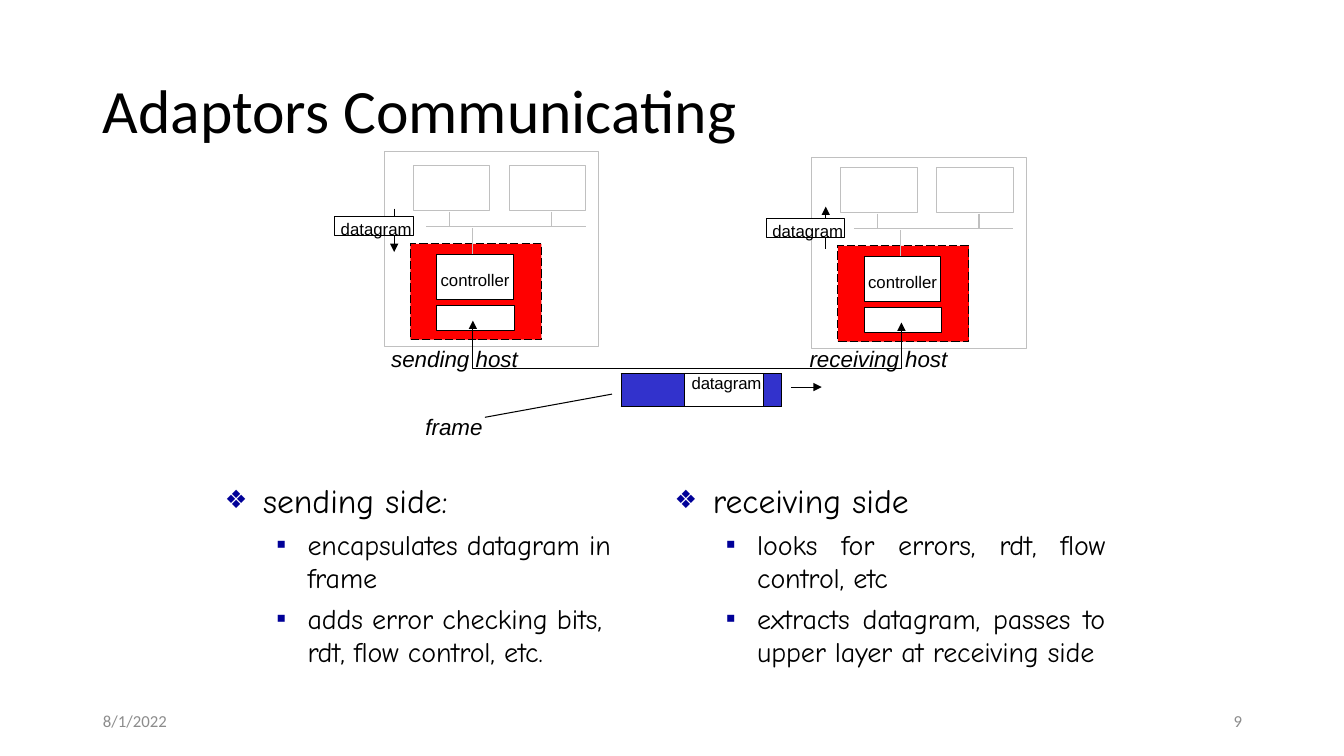
from dataclasses import dataclass

import pptx
import pptx.dml.color
import pptx.enum.dml
import pptx.enum.shapes
import pptx.enum.text
import pptx.oxml
import pptx.oxml.ns
import pptx.util

Inches = pptx.util.Inches
Pt = pptx.util.Pt
ALIGN = pptx.enum.text.PP_ALIGN
ANCHOR = pptx.enum.text.MSO_ANCHOR

INK = {"black": "000000", "white": "FFFFFF", "gray": "C0C0C0", "red": "FF0000",
       "blue": "3232CC", "navy": "000098", "foot": "8C8C8C"}
THIN = 0.75


@dataclass
class Box:
    x: float
    y: float
    w: float
    h: float
    line: str
    fill: str = ""
    dash: bool = False


@dataclass
class Wire:
    x1: float
    y1: float
    x2: float
    y2: float
    line: str = "gray"
    head: bool = False


@dataclass
class Label:
    text: str
    x: float
    y: float
    w: float
    h: float
    size: float = 12
    font: str = "Arial"
    ink: str = "black"
    slant: bool = False
    gap: int = 0  # letter spacing, hundredths of a point
    align: ALIGN = ALIGN.LEFT


@dataclass
class Host:
    x: float
    y: float
    top: float  # top edge of the outer box
    name: str
    name_x: float
    gram_x: float
    arrow: Wire


@dataclass
class Level:
    size: float
    left: float
    hang: float
    mark: str
    scale: int


# Parts of a host, measured from its corner
BOXES = [Box(0.26, 0.92, 1.3, 0.95, "black", "red", True),
         Box(0.52, 1.53, 0.77, 0.25, "black", "white"),
         Box(0.52, 1.02, 0.76, 0.45, "black", "white"),
         Box(0.29, 0.14, 0.76, 0.45, "gray", "white"),
         Box(1.24, 0.14, 0.76, 0.45, "gray", "white")]
WIRES = [Wire(0.42, 0.75, 2.0, 0.75), Wire(0.88, 0.76, 0.88, 1.02),
         Wire(0.65, 0.6, 0.65, 0.75), Wire(1.66, 0.6, 1.66, 0.75)]
HOSTS = [Host(3.81, 1.5, 1.5, "sending host", 3.88, 3.32,
              Wire(3.91, 2.07, 3.91, 2.5, "black", True)),
         Host(8.05, 1.52, 1.56, "receiving host", 8.03, 7.6,
              Wire(8.19, 2.47, 8.19, 2.05, "black", True))]

LEVELS = [Level(24, 0.39, -0.38, "❖", 75), Level(20, 0.83, -0.31, "▪", 100)]
LISTS = [(1, 2.22, 4.1, ALIGN.LEFT,
          ["sending side:", "encapsulates datagram in frame",
           "adds error checking bits, rdt, flow control, etc."]),
         (2, 6.68, 4.28, ALIGN.JUSTIFY,
          ["receiving side", "looks for errors, rdt, flow control, etc",
           "extracts datagram, passes to upper layer at receiving side"])]


def tint(name: str) -> pptx.dml.color.RGBColor:
    return pptx.dml.color.RGBColor.from_string(INK[name])


def node(parent, tag: str, **attrs: str):
    child = pptx.oxml.parse_xml(f"<a:{tag} {pptx.oxml.ns.nsdecls('a')}/>")
    for key, value in attrs.items():
        child.set(key, value)
    parent.append(child)
    return child


def place(shape, x: float, y: float, w: float, h: float) -> None:
    shape.left, shape.top = Inches(x), Inches(y)
    shape.width, shape.height = Inches(w), Inches(h)


def pad(frame) -> None:
    frame.margin_left = frame.margin_right = 0
    frame.margin_top = frame.margin_bottom = 0


def write(para, text: str, size: float, font: str, ink: str = "black",
          slant: bool = False, gap: int = 0) -> None:
    run = para.add_run()
    run.text = text
    run.font.size, run.font.name, run.font.italic = Pt(size), font, slant
    run.font.color.rgb = tint(ink)
    if gap:
        run.font._element.set("spc", str(gap))


def draw_box(slide, box: Box, x: float = 0, y: float = 0) -> None:
    shape = slide.shapes.add_shape(pptx.enum.shapes.MSO_SHAPE.RECTANGLE,
                                   Inches(x + box.x), Inches(y + box.y),
                                   Inches(box.w), Inches(box.h))
    shape.shadow.inherit = False
    if box.fill:
        shape.fill.solid()
        shape.fill.fore_color.rgb = tint(box.fill)
    else:
        shape.fill.background()
    shape.line.color.rgb, shape.line.width = tint(box.line), Pt(THIN)
    if box.dash:
        shape.line.dash_style = pptx.enum.dml.MSO_LINE.LONG_DASH


def draw_wire(slide, wire: Wire, x: float = 0, y: float = 0) -> None:
    link = slide.shapes.add_connector(pptx.enum.shapes.MSO_CONNECTOR.STRAIGHT,
                                      Inches(x + wire.x1), Inches(y + wire.y1),
                                      Inches(x + wire.x2), Inches(y + wire.y2))
    link.line.color.rgb, link.line.width = tint(wire.line), Pt(THIN)
    if wire.head:
        node(link.line._get_or_add_ln(), "tailEnd", type="triangle")
    node(link._element.spPr, "effectLst")


def draw_label(slide, label: Label) -> None:
    shape = slide.shapes.add_textbox(Inches(label.x), Inches(label.y),
                                     Inches(label.w), Inches(label.h))
    frame = shape.text_frame
    pad(frame)
    frame.word_wrap = True
    frame.vertical_anchor = ANCHOR.MIDDLE
    para = frame.paragraphs[0]
    para.alignment = label.align
    write(para, label.text, label.size, label.font, label.ink, label.slant, label.gap)


def draw_host(slide, host: Host) -> None:
    draw_box(slide, Box(host.x, host.top, 2.13, host.y + 1.94 - host.top, "gray"))
    for box in BOXES:
        draw_box(slide, box, host.x, host.y)
    for wire in WIRES:
        draw_wire(slide, wire, host.x, host.y)
    draw_wire(slide, host.arrow)
    draw_box(slide, Box(host.gram_x, host.y + 0.65, 0.78, 0.19, "black", "white"))
    draw_label(slide, Label("datagram", host.gram_x + 0.06, host.y + 0.67, 0.9, 0.19))
    draw_label(slide, Label("controller", host.x + 0.56, host.y + 1.18, 0.9, 0.19))
    draw_label(slide, Label(host.name, host.name_x, 3.42, 1.6, 0.27, 16, slant=True))


def draw_link(slide) -> None:
    form = slide.shapes.build_freeform(Inches(4.69), Inches(3.18))
    form.add_line_segments([(Inches(x), Inches(y)) for x, y in
                            [(4.69, 3.66), (8.94, 3.66), (8.94, 3.2)]], close=False)
    link = form.convert_to_shape()
    link.shadow.inherit = False
    link.fill.background()
    link.line.color.rgb, link.line.width = tint("black"), Pt(THIN)
    for tag in ("headEnd", "tailEnd"):
        node(link.line._get_or_add_ln(), tag, type="triangle")


def draw_frame(slide) -> None:
    widths = [0.63, 0.78, 0.18]
    table = slide.shapes.add_table(1, 3, Inches(6.16), Inches(3.71),
                                   Inches(sum(widths)), Inches(0.32)).table
    table.first_row = table.horz_banding = False
    table.rows[0].height = Inches(0.32)
    for i, (width, ink) in enumerate(zip(widths, ["blue", "white", "blue"])):
        table.columns[i].width = Inches(width)
        cell = table.cell(0, i)
        pad(cell)
        props = cell._tc.get_or_add_tcPr()
        for side in ("lnL", "lnR", "lnT", "lnB"):
            edge = node(props, side, w=str(Pt(THIN)))
            node(node(edge, "solidFill"), "srgbClr", val=INK["black"])
        cell.fill.solid()
        cell.fill.fore_color.rgb = tint(ink)
    cell = table.cell(0, 1)
    cell.margin_left = Inches(0.07)
    write(cell.text_frame.paragraphs[0], "datagram", 12, "Arial", gap=-10)


def draw_list(slide, idx: int, x: float, w: float, align: ALIGN, lines: list[str]) -> None:
    body = slide.placeholders[idx]
    place(body, x, 4.76, w, 2.0)
    frame = body.text_frame
    pad(frame)
    frame.auto_size = pptx.enum.text.MSO_AUTO_SIZE.NONE
    for i, line in enumerate(lines):
        para = frame.add_paragraph() if i else frame.paragraphs[0]
        para.level = min(i, 1)
        level = LEVELS[para.level]
        para.alignment = align if i else ALIGN.LEFT
        para.space_before = Pt(5 if i else 0)
        props = para._p.get_or_add_pPr()
        props.set("marL", str(Inches(level.left)))
        props.set("indent", str(Inches(level.hang)))
        node(node(props, "buClr"), "srgbClr", val=INK["navy"])
        node(props, "buSzPct", val=str(level.scale * 1000))
        node(props, "buChar", char=level.mark)
        write(para, line, level.size, "Comic Neue", gap=-12 if i else 0)


def main() -> None:
    deck = pptx.Presentation()
    deck.slide_width, deck.slide_height = Inches(13.33), Inches(7.5)
    slide = deck.slides.add_slide(deck.slide_layouts[3])

    # Title
    title = slide.shapes.title
    place(title, 0.92, 0.4, 11.5, 1.45)
    title.text_frame.vertical_anchor = ANCHOR.MIDDLE
    para = title.text_frame.paragraphs[0]
    para.alignment, para.line_spacing = ALIGN.LEFT, 0.9
    write(para, "Adaptors Communicating", 44, "Calibri")

    # Hosts and the link between them
    for host in HOSTS:
        draw_host(slide, host)
    draw_link(slide)

    # Frame on the link
    draw_frame(slide)
    draw_wire(slide, Wire(7.85, 3.84, 8.15, 3.84, "black", True))
    draw_wire(slide, Wire(4.81, 4.14, 6.07, 3.91, "black"))
    draw_label(slide, Label("frame", 4.22, 4.1, 0.8, 0.27, 16, slant=True))

    # Lists
    for item in LISTS:
        draw_list(slide, *item)

    # Footer
    draw_label(slide, Label("8/1/2022", 1.02, 6.95, 2.8, 0.4, 12, "Calibri", "foot"))
    draw_label(slide, Label("9", 9.52, 6.95, 2.8, 0.4, 12, "Calibri", "foot",
                            align=ALIGN.RIGHT))
    deck.save("out.pptx")


if __name__ == "__main__":
    main()
